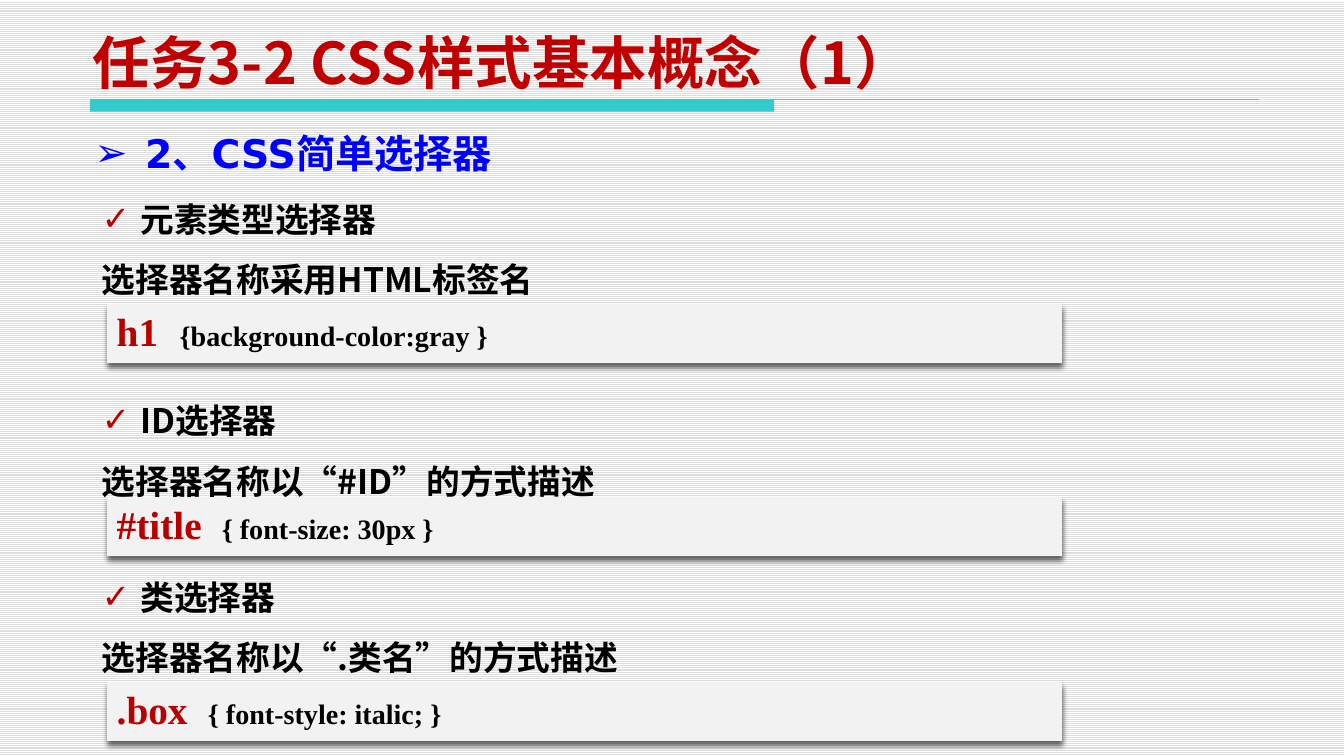
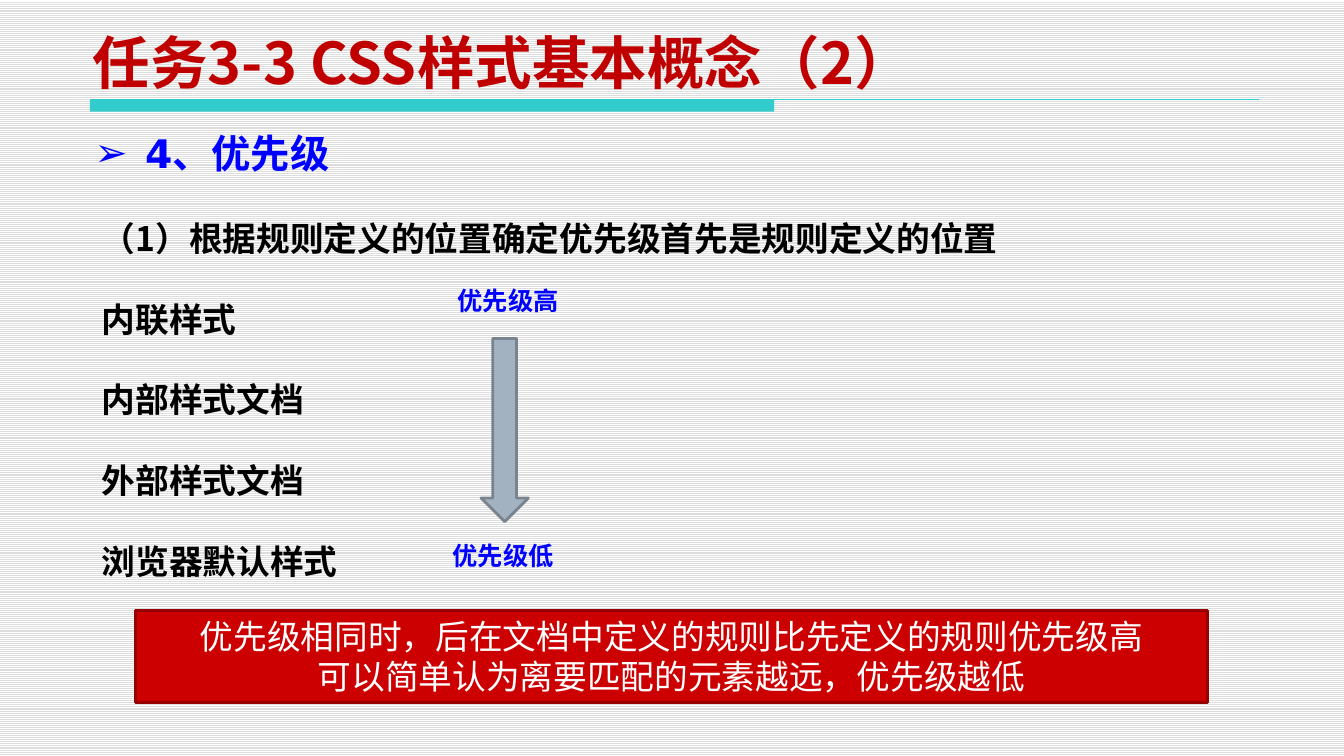
"""Build two slides on CSS selectors and rule priority."""
from lxml import etree
from pptx import Presentation
from pptx.dml.color import RGBColor
from pptx.enum.dml import MSO_PATTERN
from pptx.enum.shapes import MSO_CONNECTOR, MSO_SHAPE
from pptx.enum.text import MSO_ANCHOR, PP_ALIGN
from pptx.oxml import parse_xml
from pptx.oxml.ns import nsdecls, qn
from pptx.util import Cm, Pt

RECT, ARROW = MSO_SHAPE.RECTANGLE, MSO_SHAPE.DOWN_ARROW
STRAIGHT = MSO_CONNECTOR.STRAIGHT
LINES = MSO_PATTERN.LIGHT_HORIZONTAL
BOTTOM, MIDDLE = MSO_ANCHOR.BOTTOM, MSO_ANCHOR.MIDDLE
CENTER = PP_ALIGN.CENTER

HAN, SANS, SERIF = "Noto Sans CJK SC", "DejaVu Sans", "Times New Roman"
PLAIN = "{2D5ABB26-0587-4C30-8999-92F81FD0307C}"
HEX = {
    "stripe": "DDDDDD", "white": "FFFFFF", "black": "000000",
    "teal": "33CCCC", "title": "C00000", "blue": "0000FF",
    "code": "B90000", "panel": "F2F2F2", "arrow": "A3B2C1",
    "edge": "79848F", "red": "CC0000", "dark": "970000",
}
RGB = {name: RGBColor.from_string(value) for name, value in HEX.items()}
SHADOW = (
    f'<a:effectLst {nsdecls("a")}><a:outerShdw blurRad="50800" dist="38100" '
    'dir="5400000" algn="t" rotWithShape="0"><a:srgbClr val="000000">'
    '<a:alpha val="60000"/></a:srgbClr></a:outerShdw></a:effectLst>'
)


def write(frame, text, size=24, hue="black", font=HAN, bold=True, align=None,
          pitch=None, mark=None, tint="code", indent=0.97, stop=None, join=False):
    """Add text as a new paragraph, or join it to the last one."""
    para = frame.paragraphs[-1]
    if para.runs and not join:
        para = frame.add_paragraph()
    if align is not None:
        para.alignment = align
    if pitch:
        para.line_spacing = Pt(pitch)
    props = para._p.get_or_add_pPr()
    if mark:
        props.set("marL", str(Cm(indent)))
        props.set("indent", str(-Cm(indent)))
        shade = etree.SubElement(props, qn("a:buClr"))
        etree.SubElement(shade, qn("a:srgbClr")).set("val", HEX[tint])
        etree.SubElement(props, qn("a:buFont")).set("typeface", SANS)
        etree.SubElement(props, qn("a:buChar")).set("char", mark)
    if stop:
        tab = etree.SubElement(etree.SubElement(props, qn("a:tabLst")), qn("a:tab"))
        tab.set("pos", str(Cm(stop)))
        tab.set("algn", "l")
    run = para.add_run()
    run.text = text
    run.font.size, run.font.bold, run.font.name = Pt(size), bold, font
    run.font.color.rgb = RGB[hue]
    etree.SubElement(run._r.get_or_add_rPr(), qn("a:ea")).set("typeface", HAN)


def block(slide, left, top, width, height, kind=None, fill=None, line=None, wrap=True):
    """Add a text box or a filled shape and return its text frame."""
    place = Cm(left), Cm(top), Cm(width), Cm(height)
    if kind is None:
        shape = slide.shapes.add_textbox(*place)
    else:
        shape = slide.shapes.add_shape(kind, *place)
        shape.shadow.inherit = False
        shape.fill.solid()
        shape.fill.fore_color.rgb = RGB[fill]
        if line:
            shape.line.color.rgb = RGB[line]
            shape.line.width = Pt(2)
        else:
            shape.line.fill.background()
    shape.text_frame.word_wrap = wrap
    return shape.text_frame


deck = Presentation()
deck.slide_width, deck.slide_height = Cm(33.78), Cm(19)

heads = [
    ("任务3-2 CSS样式基本概念（1）", "2、CSS简单选择器"),
    ("任务3-3 CSS样式基本概念（2）", "4、优先级"),
]
pages = []
for title, topic in heads:
    page = deck.slides.add_slide(deck.slide_layouts[6])
    back = page.background.fill
    back.patterned()
    back.pattern = LINES
    back.fore_color.rgb, back.back_color.rgb = RGB["stripe"], RGB["white"]

    block(page, 2.26, 2.51, 17.2, 0.3, RECT, "teal")
    rule = page.shapes.add_connector(STRAIGHT, Cm(2.26), Cm(2.51), Cm(31.65), Cm(2.51))
    rule.line.color.rgb = RGB["teal"]
    rule.line.width = Pt(0.75)
    etree.SubElement(rule._element.spPr, qn("a:effectLst"))

    frame = block(page, 2.08, 0.15, 24.61, 2.4)
    frame.vertical_anchor = BOTTOM
    write(frame, title, size=41, hue="title")
    frame = block(page, 2.13, 3.12, 21.59, 1.47)
    write(frame, topic, size=28, hue="blue", font=SANS, mark="➢", tint="blue", indent=1.27)
    pages.append(page)

first, second = pages

rules = [
    (4.37, "元素类型选择器", "选择器名称采用HTML标签名",
     7.65, "h1", "{background-color:gray }", 1.58),
    (9.43, "ID选择器", "选择器名称以“#ID”的方式描述",
     12.5, "#title", "{ font-size: 30px }", 2.64),
    (13.87, "类选择器", "选择器名称以“.类名”的方式描述",
     17.15, ".box", "{ font-style: italic; }", 2.29),
]
for top, name, note, low, key, code, stop in rules:
    frame = block(first, 2.31, top, 29.13, 3.1)
    write(frame, name, pitch=43, mark="✓")
    write(frame, note, pitch=43)

    table = first.shapes.add_table(1, 1, Cm(2.68), Cm(low), Cm(24), Cm(1.47)).table
    table.first_row = table.horz_banding = False
    style = table._tbl.tblPr
    style[0].text = PLAIN
    style.insert(0, parse_xml(SHADOW))
    cell = table.cell(0, 0)
    cell.vertical_anchor = MIDDLE
    cell.fill.solid()
    cell.fill.fore_color.rgb = RGB["panel"]
    write(cell.text_frame, key, size=28, hue="code", font=SERIF, stop=stop)
    write(cell.text_frame, "\t" + code, size=20, font=SERIF, join=True)

frame = block(second, 2.31, 4.85, 30.58, 11.3)
write(frame, "（1）根据规则定义的位置确定优先级首先是规则定义的位置", pitch=43)
for name in ("内联样式", "内部样式文档", "外部样式文档", "浏览器默认样式"):
    write(frame, name, pitch=57.5)

block(second, 12.09, 8.51, 1.19, 4.6, ARROW, "arrow", "edge")
for left, top, name in ((11.25, 7.04, "优先级高"), (11.13, 13.46, "优先级低")):
    frame = block(second, left, top, 3.1, 1.02, wrap=False)
    write(frame, name, size=18, hue="blue", font=SANS)

frame = block(second, 3.4, 15.34, 26.95, 2.31, RECT, "red", "dark")
frame.vertical_anchor = MIDDLE
for note in ("优先级相同时，后在文档中定义的规则比先定义的规则优先级高",
             "可以简单认为离要匹配的元素越远，优先级越低"):
    write(frame, note, hue="white", font=SANS, bold=False, align=CENTER, pitch=28.5)

deck.save("out.pptx")
